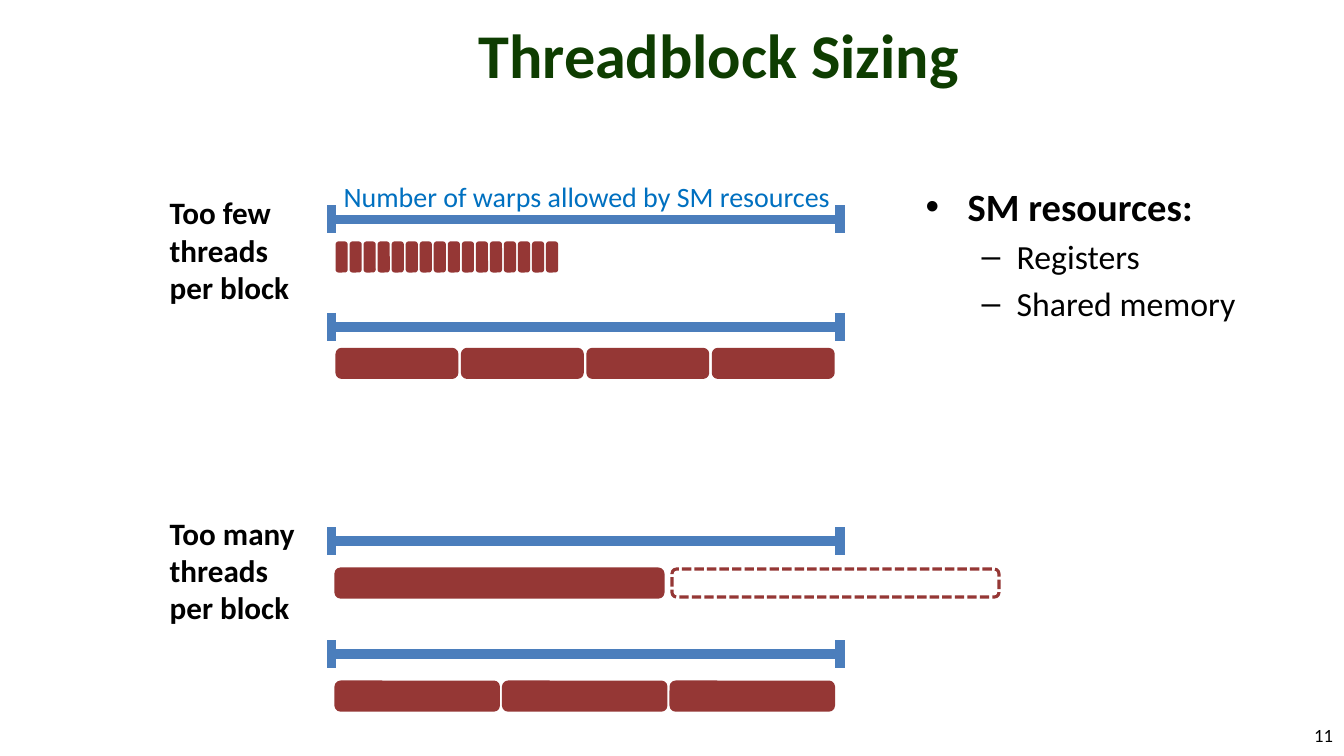
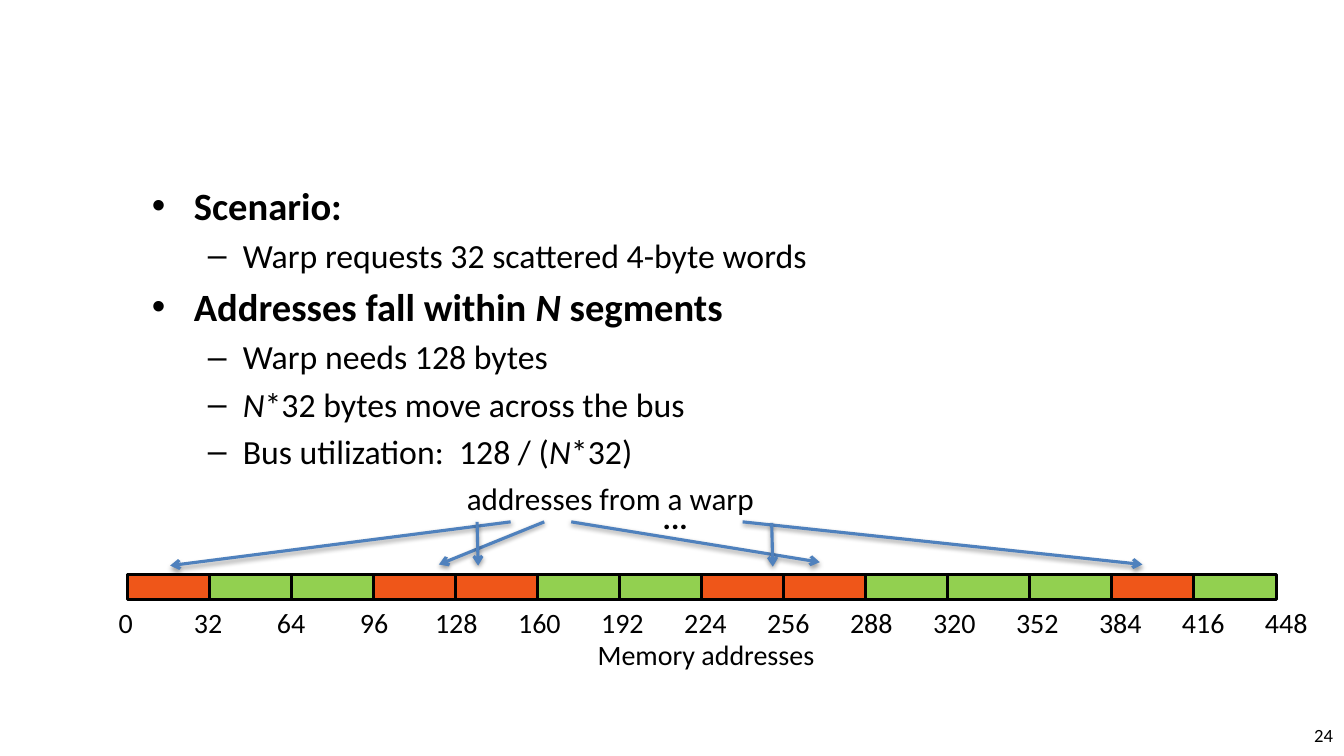
from lxml.etree import SubElement
from pptx import Presentation
from pptx.dml.color import RGBColor
from pptx.enum.dml import MSO_LINE
from pptx.enum.shapes import MSO_CONNECTOR, MSO_SHAPE
from pptx.enum.text import MSO_ANCHOR, PP_ALIGN
from pptx.oxml import parse_xml
from pptx.oxml.ns import nsdecls, qn
from pptx.util import Pt

FONT = "Calibri"
BLACK, WHITE = "000000", "FFFFFF"
TITLE_GREEN, LABEL_BLUE = "0E3D01", "0070C0"
RULER_BLUE, ARROW_BLUE = "4B7EBC", "4F81BD"
BLOCK_RED = "953735"
USED_ORANGE, UNUSED_GREEN = "EF5619", "92D050"
SHADOW = (f'<a:effectLst {nsdecls("a")}><a:outerShdw blurRad="39370" dist="20320" '
          'dir="5400000" rotWithShape="0"><a:srgbClr val="000000">'
          '<a:alpha val="38000"/></a:srgbClr></a:outerShdw></a:effectLst>')

# Bullet levels: size, bold, left margin, hanging indent, sign
BULLETS = [(24.8, True, 27, 27, "•"), (21.7, False, 58.5, 22.5, "–")]


def add_text(slide, box, text, size, color=BLACK, bold=False,
             align=PP_ALIGN.LEFT, anchor=MSO_ANCHOR.TOP, wrap=True):
    frame = slide.shapes.add_textbox(*map(Pt, box)).text_frame
    frame.word_wrap = wrap
    frame.vertical_anchor = anchor
    paragraph = frame.paragraphs[0]
    paragraph.text = text
    paragraph.alignment = align
    paragraph.font.name = FONT
    paragraph.font.size = Pt(size)
    paragraph.font.bold = bold
    paragraph.font.color.rgb = RGBColor.from_string(color)


def add_line(slide, ends, color, width, arrow=False):
    line = slide.shapes.add_connector(MSO_CONNECTOR.STRAIGHT, *map(Pt, ends))
    line.line.color.rgb = RGBColor.from_string(color)
    line.line.width = Pt(width)
    properties = line._element.spPr
    if arrow:
        SubElement(line.line._get_or_add_ln(), qn("a:tailEnd"), type="arrow")
        properties.append(parse_xml(SHADOW))
    else:
        SubElement(properties, qn("a:effectLst"))


presentation = Presentation()
presentation.slide_width = Pt(864)
presentation.slide_height = Pt(486)
blank = presentation.slide_layouts[6]

# Shared parts: bulleted body and slide number; _x_ marks italics
contents = [
    ("11", (588, 113.8, 228.5, 106), [
        (0, "SM resources:"),
        (1, "Registers"),
        (1, "Shared memory"),
    ]),
    ("24", (90.5, 113.4, 741, 176), [
        (0, "Scenario:"),
        (1, "Warp requests 32 scattered 4-byte words"),
        (0, "Addresses fall within _N_ segments"),
        (1, "Warp needs 128 bytes"),
        (1, "_N_*32 bytes move across the bus"),
        (1, "Bus utilization:  128 / (_N_*32)"),
    ]),
]
slides = []
for number, body_box, items in contents:
    slide = presentation.slides.add_slide(blank)
    slides.append(slide)
    frame = slide.shapes.add_textbox(*map(Pt, body_box)).text_frame
    frame.word_wrap = True
    for index, (level, text) in enumerate(items):
        size, bold, margin, hanging, sign = BULLETS[level]
        paragraph = frame.add_paragraph() if index else frame.paragraphs[0]
        paragraph.level = level
        if index:
            paragraph.space_before = Pt(round(size * 0.2, 1))
        properties = paragraph._p.get_or_add_pPr()
        properties.set("marL", str(Pt(margin)))
        properties.set("indent", str(-Pt(hanging)))
        SubElement(properties, qn("a:buFont"), typeface="Arial")
        SubElement(properties, qn("a:buChar"), char=sign)
        paragraph.font.name = FONT
        paragraph.font.size = Pt(size)
        paragraph.font.bold = bold
        paragraph.font.color.rgb = RGBColor.from_string(BLACK)
        for part, piece in enumerate(text.split("_")):
            if piece:
                run = paragraph.add_run()
                run.text = piece
                if part % 2:
                    run.font.italic = True
    add_text(slide, (829.5, 459.4, 34.5, 26), number, 12,
             align=PP_ALIGN.RIGHT, anchor=MSO_ANCHOR.MIDDLE)
sizing, scattered = slides

# Slide 1: title and labels
add_text(sizing, (84, 0, 756, 69), "Threadblock Sizing", 40, TITLE_GREEN, True,
         PP_ALIGN.CENTER, MSO_ANCHOR.MIDDLE)
add_text(sizing, (213.8, 111.6, 331, 29),
         "Number of warps allowed by SM resources", 18, LABEL_BLUE, wrap=False)
add_text(sizing, (102, 121, 108, 80), "Too few threads per block", 20, bold=True)
add_text(sizing, (102, 327, 96, 80), "Too many threads per block", 20, bold=True)

# Rulers showing the allowed number of warps
for y in (141.1, 210.2, 347.8, 420.5):
    add_line(sizing, (216, y, 540, y), RULER_BLUE, 6)
    for x in (213, 540):
        add_line(sizing, (x, y - 9, x, y + 9), RULER_BLUE, 6)

# Rows of threadblocks: left, top, width, pitch, count, blocks that fit
block_rows = [
    (216.7, 156.2, 5.8, 9.02, 16, 16),
    (216.7, 224.6, 77, 80.64, 4, 4),
    (216, 365.8, 210.2, 216, 2, 1),
    (216, 438.5, 104.4, 107.7, 3, 3),
]
for left, top, width, pitch, count, fitting in block_rows:
    for index in range(count):
        block = sizing.shapes.add_shape(
            MSO_SHAPE.ROUNDED_RECTANGLE,
            Pt(left + index * pitch), Pt(top), Pt(width), Pt(18))
        block.shadow.inherit = False
        fits = index < fitting
        block.fill.solid()
        block.fill.fore_color.rgb = RGBColor.from_string(BLOCK_RED if fits else WHITE)
        block.line.color.rgb = RGBColor.from_string(BLOCK_RED)
        block.line.width = Pt(2)
        if not fits:
            block.line.dash_style = MSO_LINE.SQUARE_DOT

# Slide 2: arrows from the warp to the segments
arrows = [
    (328.3, 335.5, 109.4, 363.6),
    (349.9, 335.5, 282.2, 362.9),
    (477.4, 335.5, 734.4, 362.9),
    (306.7, 335.5, 307.4, 363.6),
    (367.2, 335.5, 527, 361.4),
    (496.1, 336.2, 496.8, 364.3),
]
for ends in arrows:
    add_line(scattered, ends, ARROW_BLUE, 2, arrow=True)
add_text(scattered, (293, 304.6, 221.8, 31.5), "addresses from a warp", 20)
add_text(scattered, (419, 316.8, 31, 31.5), "...", 20, bold=True, wrap=False)

# Memory segments
segment_count = 14
requested = {0, 3, 4, 7, 8, 12}
for index in range(segment_count):
    segment = scattered.shapes.add_shape(
        MSO_SHAPE.RECTANGLE, Pt(82 + index * 52.73), Pt(369.4), Pt(53), Pt(16))
    segment.shadow.inherit = False
    segment.fill.solid()
    segment.fill.fore_color.rgb = RGBColor.from_string(
        USED_ORANGE if index in requested else UNUSED_GREEN)
    segment.line.color.rgb = RGBColor.from_string(BLACK)
    segment.line.width = Pt(2)

# Address scale
for index in range(segment_count + 1):
    address = str(index * 32)
    width = 14.5 + 10 * len(address)
    add_text(scattered, (81.5 + index * 53.35 - width / 2, 386, width, 29),
             address, 18, wrap=False)
add_text(scattered, (369.4, 406, 169, 29), "Memory addresses", 18,
         align=PP_ALIGN.CENTER, wrap=False)

presentation.save("out.pptx")
